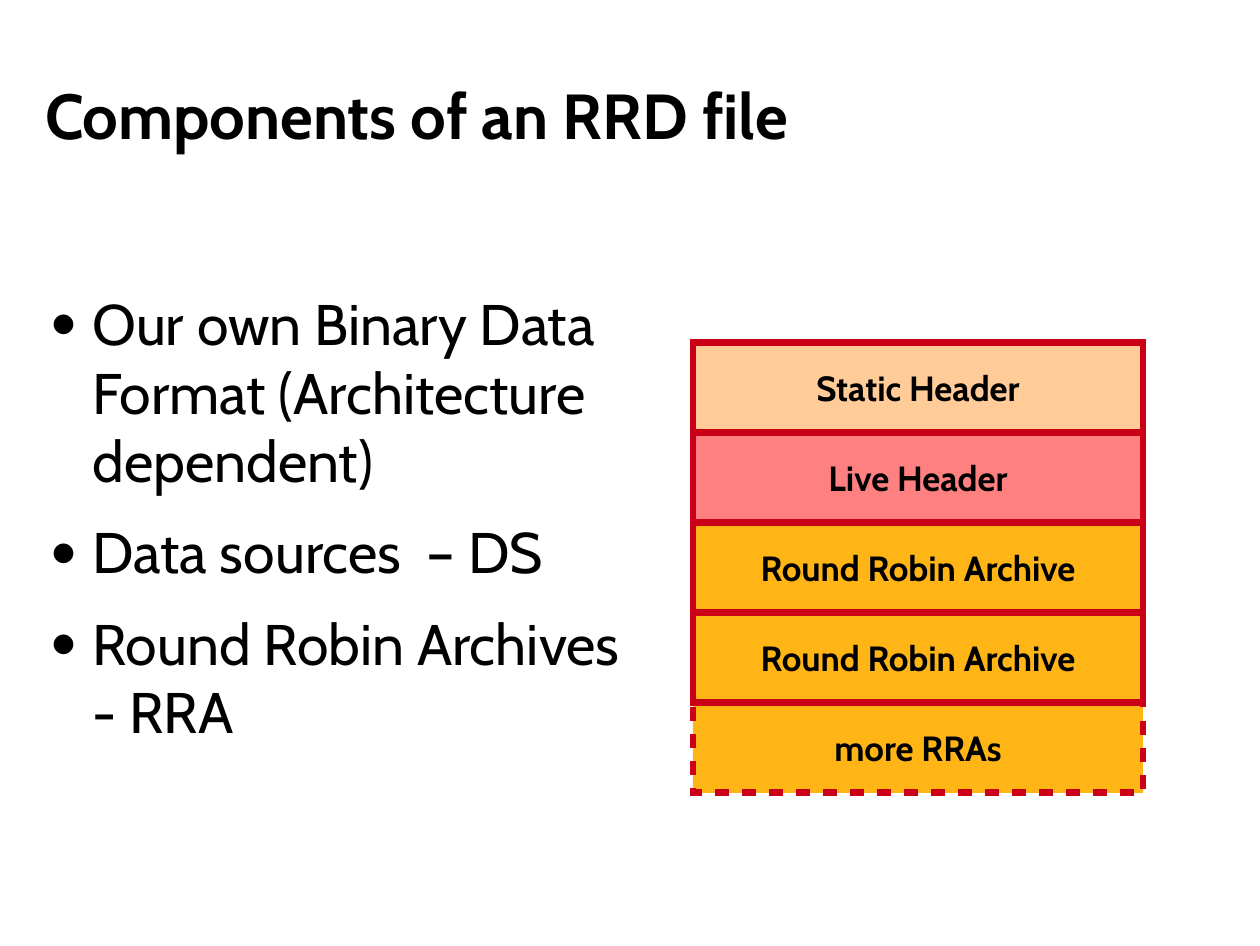
import dataclasses

import lxml.etree
import pptx
import pptx.dml.color
import pptx.enum.shapes
import pptx.enum.text
import pptx.oxml.ns
import pptx.shapes.autoshape
import pptx.slide
import pptx.text.text
import pptx.util

SLIDE_WIDTH = pptx.util.Inches(11.02)
SLIDE_HEIGHT = pptx.util.Inches(8.27)
COLUMN = SLIDE_WIDTH / 28
ROW = SLIDE_HEIGHT / 21


@dataclasses.dataclass(frozen=True)
class Theme:
    font: str = "Cabin"
    ink: str = "000000"
    paper: str = "FFFFFF"
    border: str = "C90016"
    static: str = "FFCC99"
    live: str = "FF8080"
    archive: str = "FFB515"
    title_size: float = 40
    body_size: float = 36
    label_size: float = 22
    border_width: float = 4.25


@dataclasses.dataclass(frozen=True)
class Area:
    """A rectangle in grid columns and rows."""
    column: float
    row: float
    columns: float
    rows: float

    def emu(self) -> list[int]:
        return [round(length) for length in (
            self.column * COLUMN, self.row * ROW, self.columns * COLUMN, self.rows * ROW)]


@dataclasses.dataclass(frozen=True)
class Section:
    label: str
    fill: str
    dashed: bool = False


THEME = Theme()
TITLE_AREA = Area(1, 1.27, 26.2, 2.54)
POINTS_AREA = Area(0.86, 6.4, 13.54, 13)
FIRST_SECTION = Area(15.4, 7.6, 10, 2)

POINTS = (
    "Our own Binary Data Format (Architecture dependent)",
    "Data sources  – DS",
    "Round Robin Archives - RRA",
)
SECTIONS = (
    Section("Static Header", THEME.static),
    Section("Live Header", THEME.live),
    Section("Round Robin Archive", THEME.archive),
    Section("Round Robin Archive", THEME.archive),
    Section("more RRAs", THEME.archive, dashed=True),
)


def rgb(value: str) -> pptx.dml.color.RGBColor:
    return pptx.dml.color.RGBColor.from_string(value)


def add_child(parent: lxml.etree._Element, tag: str, **attributes: str) -> lxml.etree._Element:
    return lxml.etree.SubElement(parent, pptx.oxml.ns.qn(tag), attributes)


def add_run(paragraph: pptx.text.text._Paragraph, text: str, size: float, bold: bool = False) -> None:
    run = paragraph.add_run()
    run.text = text
    run.font.name = THEME.font
    run.font.size = pptx.util.Pt(size)
    run.font.bold = bold
    run.font.color.rgb = rgb(THEME.ink)


def add_text_frame(slide: pptx.slide.Slide, area: Area) -> pptx.text.text.TextFrame:
    """Add a wrapping text box without margins."""
    frame = slide.shapes.add_textbox(*area.emu()).text_frame
    frame.word_wrap = True
    frame.margin_left = frame.margin_right = frame.margin_top = frame.margin_bottom = 0
    return frame


def add_title(slide: pptx.slide.Slide, text: str) -> None:
    frame = add_text_frame(slide, TITLE_AREA)
    frame.vertical_anchor = pptx.enum.text.MSO_ANCHOR.MIDDLE
    add_run(frame.paragraphs[0], text, THEME.title_size, bold=True)


def set_bullet(paragraph: pptx.text.text._Paragraph) -> None:
    properties = paragraph._p.get_or_add_pPr()
    properties.set("marL", str(pptx.util.Inches(0.47)))
    properties.set("indent", str(-pptx.util.Inches(0.35)))
    add_child(add_child(properties, "a:buClr"), "a:srgbClr", val=THEME.ink)
    add_child(properties, "a:buSzPct", val="45000")
    add_child(properties, "a:buFont", typeface=THEME.font)
    add_child(properties, "a:buChar", char="●")


def add_points(slide: pptx.slide.Slide) -> None:
    frame = add_text_frame(slide, POINTS_AREA)
    for index, point in enumerate(POINTS):
        paragraph = frame.add_paragraph() if index else frame.paragraphs[0]
        set_bullet(paragraph)
        paragraph.space_after = pptx.util.Pt(14.2)
        add_run(paragraph, point, THEME.body_size)


def set_border(block: pptx.shapes.autoshape.Shape, dashed: bool) -> None:
    """Draw a square-cornered border, with equal dashes and gaps if dashed."""
    block.line.color.rgb = rgb(THEME.border)
    block.line.width = pptx.util.Pt(THEME.border_width)
    line = block.element.spPr.find(pptx.oxml.ns.qn("a:ln"))
    if dashed:
        add_child(add_child(line, "a:custDash"), "a:ds", d="200000", sp="200000")
    add_child(line, "a:miter", lim="800000")


def add_section(slide: pptx.slide.Slide, section: Section, index: int) -> None:
    area = dataclasses.replace(FIRST_SECTION, row=FIRST_SECTION.row + index * FIRST_SECTION.rows)
    block = slide.shapes.add_shape(pptx.enum.shapes.MSO_SHAPE.RECTANGLE, *area.emu())
    block.shadow.inherit = False
    block.fill.solid()
    block.fill.fore_color.rgb = rgb(section.fill)
    set_border(block, section.dashed)
    frame = block.text_frame
    frame.word_wrap = False
    frame.vertical_anchor = pptx.enum.text.MSO_ANCHOR.MIDDLE
    label = frame.paragraphs[0]
    label.alignment = pptx.enum.text.PP_ALIGN.CENTER
    add_run(label, section.label, THEME.label_size, bold=True)


def main() -> None:
    deck = pptx.Presentation()
    deck.slide_width = SLIDE_WIDTH
    deck.slide_height = SLIDE_HEIGHT
    slide = deck.slides.add_slide(deck.slide_layouts[6])
    slide.background.fill.solid()
    slide.background.fill.fore_color.rgb = rgb(THEME.paper)

    add_title(slide, "Components of an RRD file")
    add_points(slide)
    # Bottom up, so that solid borders cover the dashed one.
    for index, section in reversed(list(enumerate(SECTIONS))):
        add_section(slide, section, index)
    deck.save("out.pptx")


if __name__ == "__main__":
    main()
